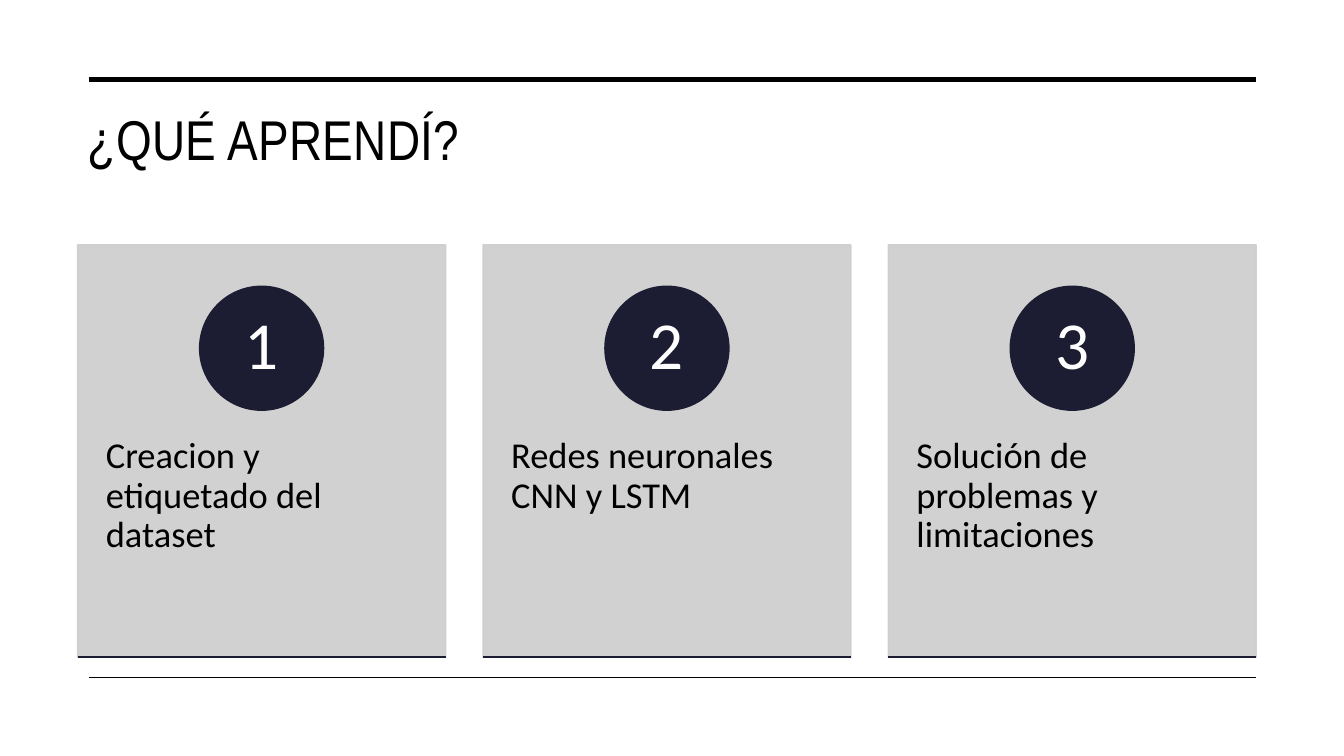
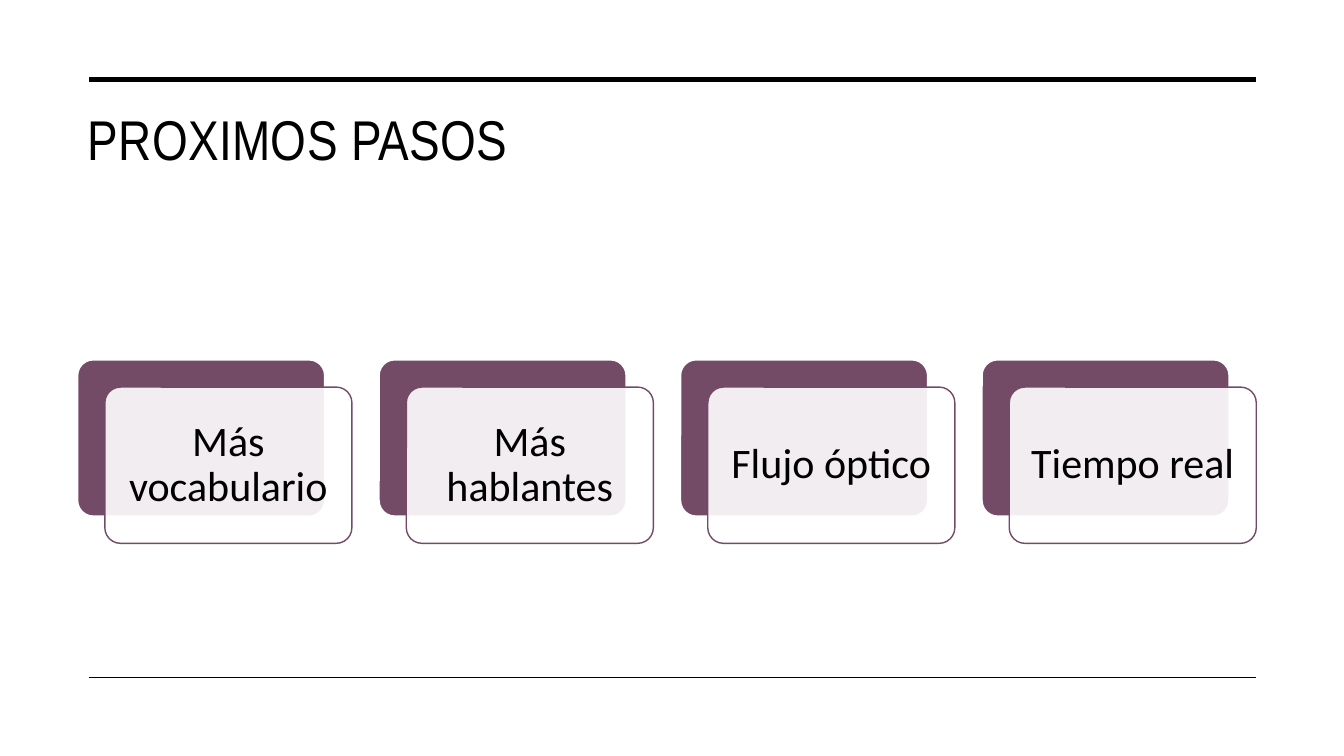
from dataclasses import dataclass

import lxml.etree
import pptx
import pptx.dml.color
import pptx.enum.shapes
import pptx.enum.text
import pptx.oxml.ns
import pptx.util

Inches = pptx.util.Inches
Pt = pptx.util.Pt
Shape = pptx.enum.shapes.MSO_SHAPE
Align = pptx.enum.text.PP_ALIGN
Anchor = pptx.enum.text.MSO_ANCHOR
qn = pptx.oxml.ns.qn


@dataclass(frozen=True)
class Theme:
    black: str = "000000"
    white: str = "FFFFFF"
    gray: str = "CDCDCE"
    navy: str = "1C1C32"
    plum: str = "734B67"
    head: str = "Arial Narrow"
    body: str = "Calibri"
    title: int = 40
    card: int = 26
    number: int = 48
    step: int = 30
    left: float = 0.77
    right: float = 12.46
    rule: float = 0.88


THEME = Theme()


def color(code):
    return pptx.dml.color.RGBColor.from_string(code)


def fade(fill, percent):
    """Set the opacity of a solid fill."""
    tint = fill._xPr.find(qn("a:solidFill"))[0]
    lxml.etree.SubElement(tint, qn("a:alpha")).set("val", str(percent * 1000))


def spread(count, width):
    """Left edges of equal items that fill the content width."""
    gap = (THEME.right - THEME.left - width) / (count - 1)
    return [THEME.left + i * gap for i in range(count)]


def add_rule(slide, left, right, top, weight, tone):
    line = slide.shapes.add_connector(
        pptx.enum.shapes.MSO_CONNECTOR.STRAIGHT,
        Inches(left), Inches(top), Inches(right), Inches(top))
    line.line.width = Pt(weight)
    line.line.color.rgb = color(tone)
    props = line._element.find(qn("p:spPr"))
    lxml.etree.SubElement(props, qn("a:effectLst"))


def add_box(slide, kind, box, fill, edge):
    shape = slide.shapes.add_shape(kind, *map(Inches, box))
    shape.shadow.inherit = False
    shape.fill.solid()
    shape.fill.fore_color.rgb = color(fill)
    shape.line.color.rgb = color(edge)
    shape.line.width = Pt(1)
    return shape


def write(shape, text, font, size, tone, align, anchor, insets):
    """Fill a shape with one paragraph; insets are left, top, right, bottom."""
    frame = shape.text_frame
    frame.word_wrap = True
    frame.auto_size = pptx.enum.text.MSO_AUTO_SIZE.NONE
    frame.vertical_anchor = anchor
    (frame.margin_left, frame.margin_top,
     frame.margin_right, frame.margin_bottom) = map(Inches, insets)
    frame.text = text
    para = frame.paragraphs[0]
    para.alignment = align
    para.font.name = font
    para.font.size = Pt(size)
    para.font.color.rgb = color(tone)
    return para


def add_slide(deck, title):
    slide = deck.slides.add_slide(deck.slide_layouts.get_by_name("Title Only"))
    head = slide.shapes.title
    head.left, head.top = Inches(THEME.left), Inches(0.99)
    head.width, head.height = Inches(THEME.right - THEME.left), Inches(1.26)
    para = write(head, title, THEME.head, THEME.title, THEME.black,
                 Align.LEFT, Anchor.TOP, (0.1, 0.05, 0.1, 0.05))
    para.runs[0]._r.get_or_add_rPr().set("spc", "30")
    add_rule(slide, THEME.rule, THEME.right, 0.79, 3.5, THEME.black)
    add_rule(slide, THEME.rule, THEME.right, 6.72, 1, THEME.black)
    return slide


def add_card(slide, left, number, text):
    width, top, height, disc = 3.65, 2.43, 4.09, 1.23
    card = add_box(slide, Shape.RECTANGLE, (left, top, width, height),
                   THEME.gray, THEME.gray)
    fade(card.fill, 90)
    fade(card.line.fill, 90)
    write(card, text, THEME.body, THEME.card, THEME.black, Align.LEFT,
          Anchor.TOP, (0.28, 1.91, 0.28, 0.36)).line_spacing = 0.9
    badge = add_box(slide, Shape.OVAL,
                    (left + (width - disc) / 2, top + 0.41, disc, disc),
                    THEME.navy, THEME.navy)
    write(badge, str(number), THEME.body, THEME.number, THEME.white,
          Align.CENTER, Anchor.MIDDLE,
          (0.1, 0.01, 0.1, 0.01)).line_spacing = 0.9
    add_rule(slide, left, left + width, top + height, 1, THEME.navy)


def add_step(slide, left, text):
    top, width, height, shift = 3.57, 2.45, 1.55, 0.27
    back = add_box(slide, Shape.ROUNDED_RECTANGLE,
                   (left, top, width, height), THEME.plum, THEME.white)
    front = add_box(slide, Shape.ROUNDED_RECTANGLE,
                    (left + shift, top + shift, width, height),
                    THEME.white, THEME.plum)
    for tile in (back, front):
        tile.adjustments[0] = 0.1
    fade(front.fill, 90)
    write(front, text, THEME.body, THEME.step, THEME.black, Align.CENTER,
          Anchor.MIDDLE, (0.12,) * 4).line_spacing = 0.9


def main():
    deck = pptx.Presentation()
    deck.slide_width, deck.slide_height = Inches(13.33), Inches(7.5)

    slide = add_slide(deck, "¿QUÉ APRENDÍ?")
    lessons = ["Creacion y etiquetado del dataset",
               "Redes neuronales CNN y LSTM",
               "Solución de problemas y limitaciones"]
    lefts = spread(len(lessons), 3.65)
    for number, (left, text) in enumerate(zip(lefts, lessons), 1):
        add_card(slide, left, number, text)

    slide = add_slide(deck, "PROXIMOS PASOS")
    steps = ["Más vocabulario", "Más hablantes", "Flujo óptico", "Tiempo real"]
    for left, text in zip(spread(len(steps), 2.72), steps):
        add_step(slide, left, text)

    deck.save("out.pptx")


if __name__ == "__main__":
    main()
